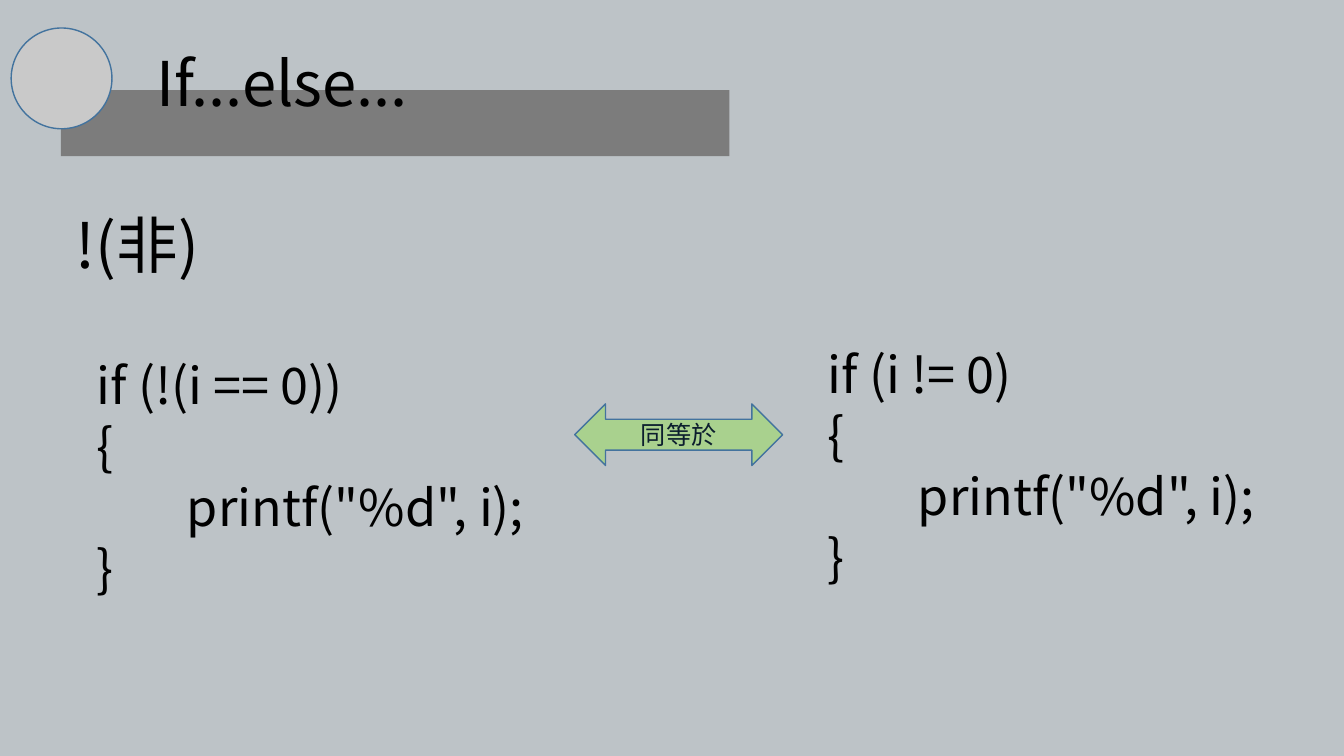
from dataclasses import dataclass

from pptx import Presentation
from pptx.dml.color import RGBColor
from pptx.enum.shapes import MSO_SHAPE as SHAPE
from pptx.enum.text import MSO_ANCHOR as ANCHOR, PP_ALIGN as ALIGN
from pptx.util import Pt


@dataclass(frozen=True)
class Theme:
    background: str = "BDC3C7"
    bar: str = "7C7C7C"
    disc: str = "C9C9C9"
    arrow: str = "A9D18E"
    outline: str = "43739E"
    text: str = "000000"
    arrow_text: str = "0C1E2E"
    font: str = "Noto Sans CJK JP"
    han_font: str = "Lato"
    arrow_font: str = "Calibri"
    heading_size: int = 44
    code_size: int = 36
    arrow_size: int = 18
    leading: float = 1.21


THEME = Theme()
CODE_INDENT = 64.5


def rgb(value):
    return RGBColor.from_string(value)


def add_shape(slide, kind, box, fill, line=None):
    sp = slide.shapes.add_shape(kind, *map(Pt, box))
    sp.shadow.inherit = False
    sp.fill.solid()
    sp.fill.fore_color.rgb = rgb(fill)
    if line:
        sp.line.color.rgb = rgb(line)
        sp.line.width = Pt(1)
    else:
        sp.line.fill.background()
    return sp


def style_run(r, size, font=THEME.font, color=THEME.text):
    r.font.size = Pt(size)
    r.font.name = font
    r.font.color.rgb = rgb(color)


def add_text(slide, box, lines, size):
    """Each line is a list of (text, font) runs."""
    tf = slide.shapes.add_textbox(*map(Pt, box)).text_frame
    tf.word_wrap = True
    for i, runs in enumerate(lines):
        p = tf.paragraphs[0] if i == 0 else tf.add_paragraph()
        p.line_spacing = Pt(round(size * THEME.leading, 1))
        for text, font in runs:
            r = p.add_run()
            r.text = text
            style_run(r, size, font)
    return tf


# Title: bar, disc over its left end, heading
def add_title(slide, box, title):
    x, y, w, h = box
    add_shape(slide, SHAPE.RECTANGLE, (x + 35.5, y + 44.5, w - 35.5, h - 44.5), THEME.bar)
    add_shape(slide, SHAPE.OVAL, (x, y, 72, 72), THEME.disc, THEME.outline)
    add_text(slide, (x + 97, y + 8.5, 319, 60.5), [[(title, THEME.font)]],
             THEME.heading_size)


# Operator heading, with the Han character in its own font
def add_operator(slide, box, symbol, name):
    runs = [(symbol + "(", THEME.font), (name, THEME.han_font), (")", THEME.font)]
    add_text(slide, box, [runs], THEME.heading_size)


# Code block: condition, then a braced body with an indented statement
def add_code(slide, box, condition):
    lines = [f"if ({condition})", "{", 'printf("%d", i);', "}"]
    tf = add_text(slide, box, [[(line, THEME.font)] for line in lines],
                  THEME.code_size)
    body = tf.paragraphs[2]
    body._p.get_or_add_pPr().set("marL", str(Pt(CODE_INDENT)))


# Labelled double arrow
def add_equivalence(slide, box, label):
    sp = add_shape(slide, SHAPE.LEFT_RIGHT_ARROW, box, THEME.arrow, THEME.outline)
    tf = sp.text_frame
    tf.text = label
    tf.vertical_anchor = ANCHOR.MIDDLE
    p = tf.paragraphs[0]
    p.alignment = ALIGN.CENTER
    style_run(p.runs[0], THEME.arrow_size, THEME.arrow_font, THEME.arrow_text)


def main():
    prs = Presentation()
    prs.slide_width, prs.slide_height = Pt(960), Pt(540)
    slide = prs.slides.add_slide(prs.slide_layouts[6])
    slide.background.fill.solid()
    slide.background.fill.fore_color.rgb = rgb(THEME.background)

    add_title(slide, (8, 20, 513, 91.5), "If...else...")
    add_operator(slide, (47, 144, 216, 60.5), "!", "非")
    add_code(slide, (62, 249, 394.5, 181.5), "!(i == 0)")
    add_equivalence(slide, (410.5, 288.5, 148.5, 44), "同等於")
    add_code(slide, (584, 241, 345, 181.5), "i != 0")
    prs.save("out.pptx")


if __name__ == "__main__":
    main()
